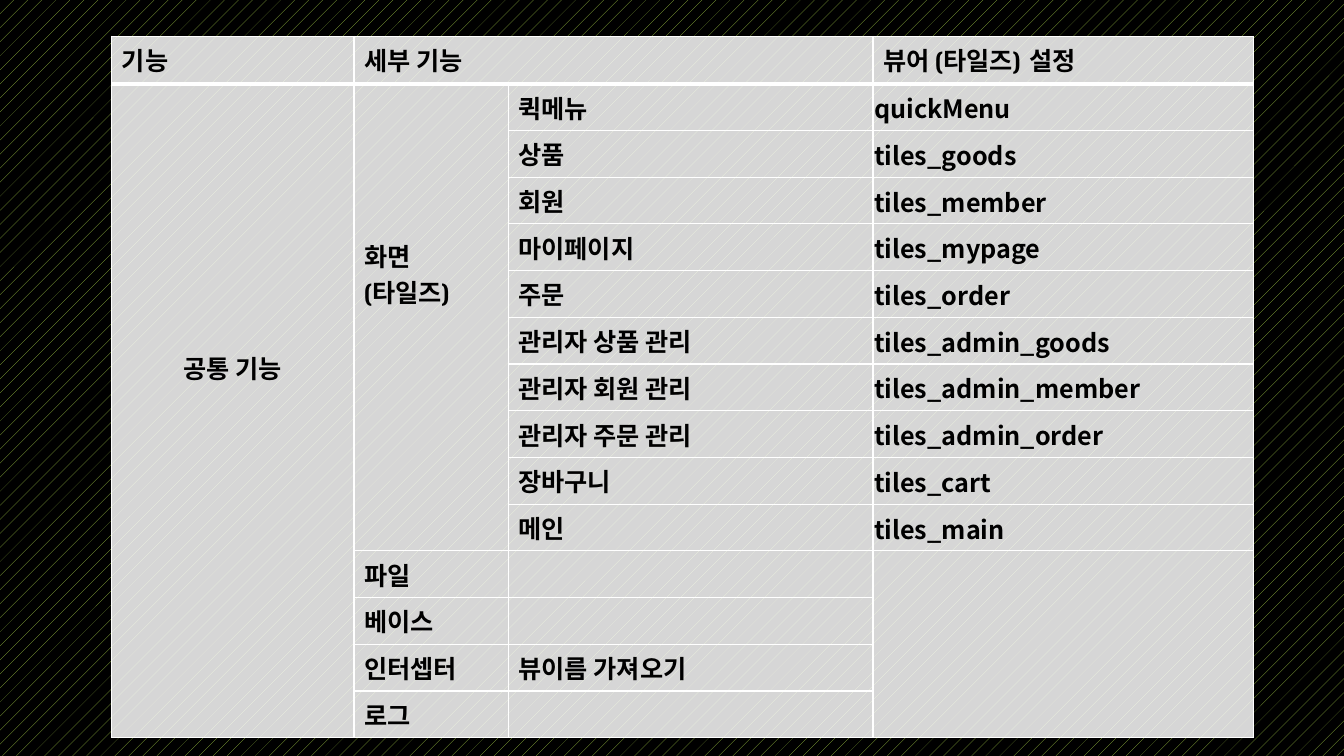
from lxml.etree import SubElement
from pptx import Presentation
from pptx.dml.color import RGBColor
from pptx.enum.dml import MSO_PATTERN
from pptx.enum.text import MSO_ANCHOR, PP_ALIGN
from pptx.oxml import parse_xml
from pptx.oxml.ns import nsdecls, qn
from pptx.util import Cm, Pt

COLORS = {"stripe": "9EC544", "back": "000000", "text": "000000",
          "cell": "FFFFFF", "border": "FFFFFF"}
KOREAN_FONT = "Noto Sans CJK KR"
LATIN_FONT = "TeX Gyre Bonum"
COLUMN_WIDTHS = [6.1, 3.89, 9.19, 9.58]
ROW_HEIGHT = 1.13

SCREENS = [
    ("퀵메뉴", "quickMenu"),
    ("상품", "tiles_goods"),
    ("회원", "tiles_member"),
    ("마이페이지", "tiles_mypage"),
    ("주문", "tiles_order"),
    ("관리자 상품 관리", "tiles_admin_goods"),
    ("관리자 회원 관리", "tiles_admin_member"),
    ("관리자 주문 관리", "tiles_admin_order"),
    ("장바구니", "tiles_cart"),
    ("메인", "tiles_main"),
]
OTHER_FEATURES = [("파일", ""), ("베이스", ""),
                  ("인터셉터", "뷰이름 가져오기"), ("로그", "")]


def write_cell(cell, text, font=LATIN_FONT, align=PP_ALIGN.LEFT, top=0.13):
    cell.margin_top = Cm(top)
    for index, line in enumerate(text.split("\n")):
        frame = cell.text_frame
        para = frame.add_paragraph() if index else frame.paragraphs[0]
        para.alignment = align
        span = para.add_run()
        span.text = line
        span.font.size = Pt(18)
        span.font.bold = True
        span.font.name = font
        span.font.color.rgb = RGBColor.from_string(COLORS["text"])
        SubElement(span.font._element, qn("a:ea"), typeface=KOREAN_FONT)


def paint_cell(cell, top, bottom):
    """Give the cell its translucent fill and its borders, widths in points."""
    cell.fill.solid()
    cell.fill.fore_color.rgb = RGBColor.from_string(COLORS["cell"])
    properties = cell._tc.get_or_add_tcPr()
    SubElement(properties.find(".//" + qn("a:srgbClr")), qn("a:alpha"), val="84000")
    widths = {"lnL": 1, "lnR": 1, "lnT": top, "lnB": bottom}
    for index, (side, width) in enumerate(widths.items()):
        properties.insert(index, parse_xml(
            f'<a:{side} {nsdecls("a")} w="{Pt(width)}"><a:solidFill>'
            f'<a:srgbClr val="{COLORS["border"]}"/></a:solidFill></a:{side}>'))


deck = Presentation()
deck.slide_width, deck.slide_height = Cm(33.87), Cm(19.05)
page = deck.slides.add_slide(deck.slide_layouts[6])

backdrop = page.background.fill
backdrop.patterned()
backdrop.pattern = MSO_PATTERN.PERCENT_5
backdrop.fore_color.rgb = RGBColor.from_string(COLORS["stripe"])
backdrop.back_color.rgb = RGBColor.from_string(COLORS["back"])

row_count = 1 + len(SCREENS) + len(OTHER_FEATURES)
first_other = 1 + len(SCREENS)
table = page.shapes.add_table(
    row_count, len(COLUMN_WIDTHS), Cm(2.82), Cm(0.92),
    Cm(sum(COLUMN_WIDTHS)), Cm(ROW_HEIGHT * row_count)).table
table.first_row = False
table.horz_banding = False
for column, width in zip(table.columns, COLUMN_WIDTHS):
    column.width = Cm(width)

for number, row in enumerate(table.rows):
    row.height = Cm(ROW_HEIGHT)
    for cell in row.cells:
        paint_cell(cell, top=3 if number == 1 else 1, bottom=3 if number == 0 else 1)

table.cell(0, 1).merge(table.cell(0, 2))
table.cell(1, 0).merge(table.cell(row_count - 1, 0))
table.cell(1, 1).merge(table.cell(first_other - 1, 1))
table.cell(first_other, 3).merge(table.cell(row_count - 1, 3))

for column, heading in {0: "기능", 1: "세부 기능", 3: "뷰어 (타일즈) 설정"}.items():
    write_cell(table.cell(0, column), heading)
write_cell(table.cell(1, 0), "공통 기능", align=PP_ALIGN.CENTER, top=6.68)
write_cell(table.cell(1, 1), "화면\n(타일즈)", top=3.86)

for number, (screen, tile) in enumerate(SCREENS, start=1):
    write_cell(table.cell(number, 2), screen)
    tile_cell = table.cell(number, 3)
    write_cell(tile_cell, tile, font=KOREAN_FONT, top=0.03)
    tile_cell.margin_left = tile_cell.margin_right = Cm(0.03)
    tile_cell.margin_bottom = Cm(0)
    tile_cell.vertical_anchor = MSO_ANCHOR.MIDDLE

for number, (feature, detail) in enumerate(OTHER_FEATURES, start=first_other):
    write_cell(table.cell(number, 1), feature)
    if detail:
        write_cell(table.cell(number, 2), detail)

deck.save("out.pptx")
